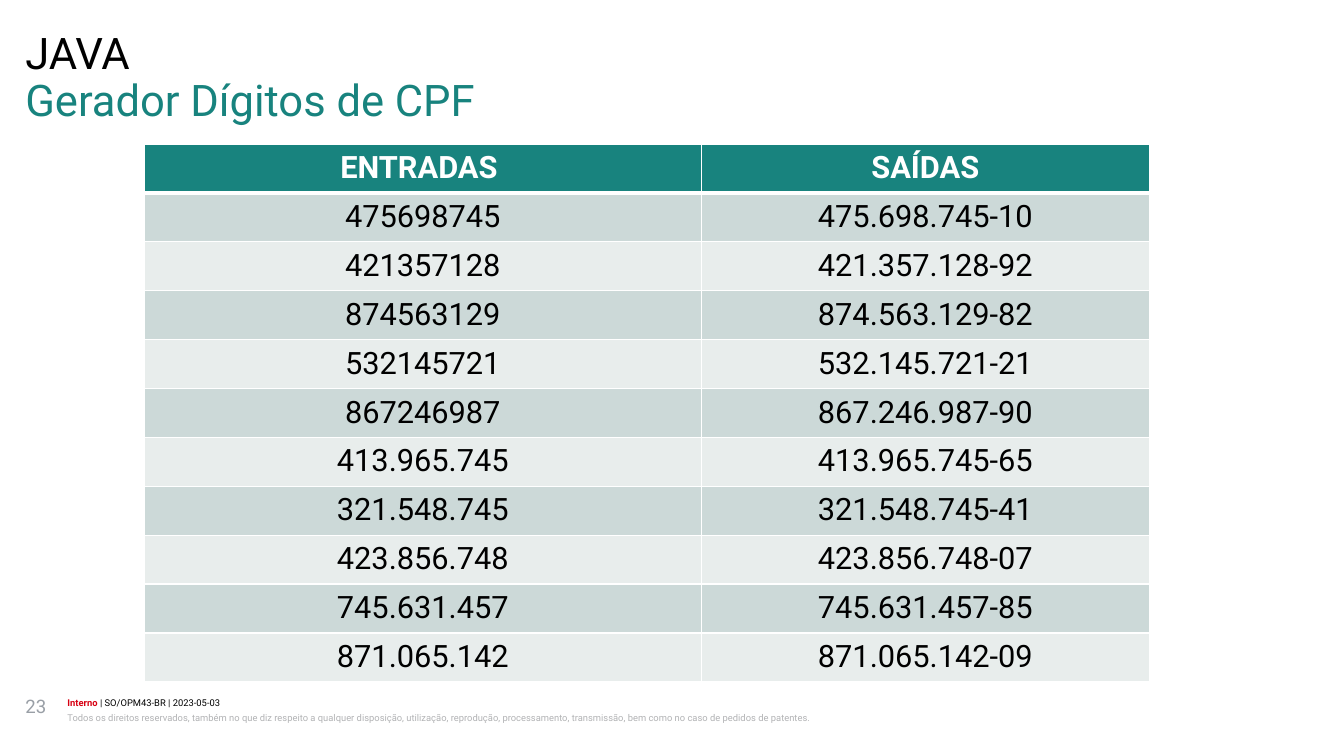
"""Build the slide with the table of CPF check digits."""
import lxml.etree
import pptx
import pptx.dml.color
import pptx.enum.text
import pptx.oxml.ns
import pptx.util

Cm = pptx.util.Cm
Pt = pptx.util.Pt


def style(font, size, color, bold=False):
    font.name = "Roboto"
    font.size = Pt(size)
    font.bold = bold
    font.color.rgb = pptx.dml.color.RGBColor.from_string(color)


def write(left, top, width, height, text, size, color, line=1.0, after=0):
    frame = slide.shapes.add_textbox(Cm(left), Cm(top), Cm(width), Cm(height)).text_frame
    frame.word_wrap = True
    frame.margin_left = frame.margin_top = frame.margin_right = frame.margin_bottom = 0
    para = frame.paragraphs[0]
    para.text = text
    para.line_spacing = line
    para.space_after = Pt(after)
    style(para.font, size, color)
    return para


deck = pptx.Presentation()
deck.slide_width = Cm(33.87)
deck.slide_height = Cm(19.05)
slide = deck.slides.add_slide(deck.slide_layouts[6])

write(0.64, 0.81, 32.6, 1.2, "JAVA", 31.1, "000000", 0.89)
write(0.64, 2.01, 32.6, 1.2, "Gerador Dígitos de CPF", 31.1, "18837E", 0.89)

rows = [
    ("ENTRADAS ", "SAÍDAS"),
    ("475698745", "475.698.745-10"),
    ("421357128", "421.357.128-92"),
    ("874563129", "874.563.129-82"),
    ("532145721", "532.145.721-21"),
    ("867246987", "867.246.987-90"),
    ("413.965.745", "413.965.745-65"),
    ("321.548.745", "321.548.745-41"),
    ("423.856.748", "423.856.748-07"),
    ("745.631.457", "745.631.457-85"),
    ("871.065.142", "871.065.142-09"),
]
widths = [14.05, 11.28]
high = 1.22
table = slide.shapes.add_table(
    len(rows), 2, Cm(3.63), Cm(3.63), Cm(sum(widths)), Cm(high * len(rows))
).table
for col, width in zip(table.columns, widths):
    col.width = Cm(width)

qn = pptx.oxml.ns.qn
for r, row in enumerate(rows):
    head = r == 0
    table.rows[r].height = Cm(high)
    for c, text in enumerate(row):
        cell = table.cell(r, c)
        cell.margin_left = cell.margin_right = Cm(0.28)
        cell.margin_top = cell.margin_bottom = Cm(0.15)
        para = cell.text_frame.paragraphs[0]
        para.text = text
        para.alignment = pptx.enum.text.PP_ALIGN.CENTER
        style(para.font, 22, "FFFFFF" if head else "000000", head)
        props = cell._tc.get_or_add_tcPr()
        for side in "LRTB":
            thick = 3 if (head and side == "B") or (r == 1 and side == "T") else 1
            edge = lxml.etree.SubElement(props, qn("a:ln" + side), w=str(Pt(thick)))
            fill = lxml.etree.SubElement(edge, qn("a:solidFill"))
            lxml.etree.SubElement(fill, qn("a:srgbClr"), val="FFFFFF")
        cell.fill.solid()
        shade = "18837E" if head else ("E8EDEC", "CCD9D8")[r % 2]
        cell.fill.fore_color.rgb = pptx.dml.color.RGBColor.from_string(shade)

write(0.64, 17.5, 0.89, 1.27, "23", 13.3, "999FA6")
label = write(1.7, 17.55, 28.17, 0.33, "", 6.7, "000000", 1.07, 1.1)
for text, color, bold in [
    ("Interno", "D70012", True),
    (" | SO/OPM43-BR | 2023-05-03", "000000", False),
]:
    run = label.add_run()
    run.text = text
    style(run.font, 6.7, color, bold)
write(
    1.7, 17.88, 28.17, 0.66,
    "Todos os direitos reservados, também no que diz respeito a qualquer disposição, "
    "utilização, reprodução, processamento, transmissão, bem como no caso de pedidos "
    "de patentes.",
    6.7, "B2B3B5", 1.2, 1.1,
)

deck.save("out.pptx")
